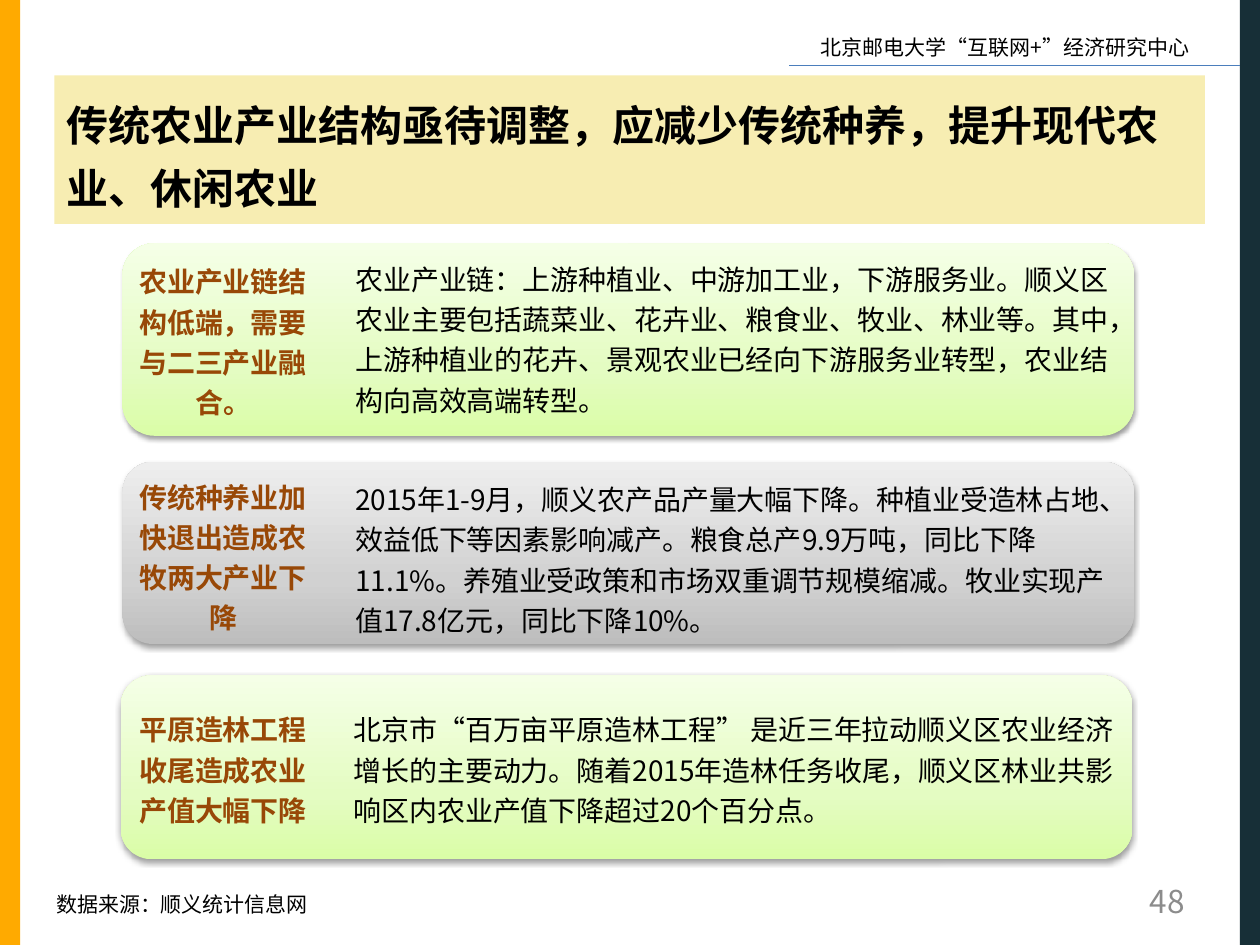
from dataclasses import dataclass
from lxml.etree import SubElement as Sub
from pptx import Presentation
from pptx.dml.color import RGBColor as RGB
from pptx.enum.shapes import MSO_CONNECTOR as Link, MSO_SHAPE as Kind
from pptx.enum.text import MSO_ANCHOR as Anchor, MSO_AUTO_SIZE as Fit, PP_ALIGN as Align
from pptx.oxml.ns import qn
from pptx.util import Pt

HUES = {
    "gold": "FFAA00", "teal": "172F37", "rule": "4B7EBC", "sand": "E9CD23",
    "ink": "000000", "rust": "984807", "mute": "8C8C8C",
}
FADES = {
    "green": ("DAFDA7", "E4FCC2", "F5FFE7"),
    "grey": ("BDBDBD", "D1D1D1", "EEEEEE"),
}
SANS = "Noto Sans CJK SC"
HEAD = "TeX Gyre Adventor"


@dataclass
class Card:
    left: float
    top: float
    high: float
    fade: str
    head: str
    head_top: float
    body: str
    body_top: float
    text_high: float


CARDS = [
    Card(70, 139, 110, "green", "农业产业链结构低端，需要与二三产业融合。", 144,
         "农业产业链：上游种植业、中游加工业，下游服务业。顺义区农业主要包括蔬菜业、花卉业、粮食业、牧业、林业等。"
         "其中，上游种植业的花卉、景观农业已经向下游服务业转型，农业结构向高效高端转型。", 142.5, 100),
    Card(70, 264, 104, "grey", "传统种养业加快退出造成农牧两大产业下降", 267,
         "2015年1-9月，顺义农产品产量大幅下降。种植业受造林占地、效益低下等因素影响减产。粮食总产9.9万吨，"
         "同比下降11.1%。养殖业受政策和市场双重调节规模缩减。牧业实现产值17.8亿元，同比下降10%。", 268.5, 100),
    Card(69, 386, 105, "green", "平原造林工程收尾造成农业产值大幅下降", 400,
         "北京市“百万亩平原造林工程” 是近三年拉动顺义区农业经济增长的主要动力。随着2015年造林任务收尾，"
         "顺义区林业共影响区内农业产值下降超过20个百分点。", 400, 77),
]


def write(frame, text: str, size: float = 16, font: str = SANS, hue: str = "ink",
          bold: bool = False, align=Align.LEFT, space: float = 1.0, anchor=Anchor.TOP) -> None:
    frame.word_wrap = True
    frame.auto_size = Fit.NONE
    frame.vertical_anchor = anchor
    para = frame.paragraphs[0]
    para.alignment = align
    para.line_spacing = space
    para.space_before = Pt(0)
    run = para.add_run()
    run.text = text
    face = run.font
    face.size = Pt(size)
    face.bold = bold
    face.color.rgb = RGB.from_string(HUES[hue])
    face.name = font
    Sub(face._element, qn("a:ea"), typeface=SANS)


def label(slide, box: tuple, text: str, **style) -> None:
    area = slide.shapes.add_textbox(*map(Pt, box))
    write(area.text_frame, text, **style)


def band(slide, left: float, hue: str) -> None:
    bar = slide.shapes.add_shape(Kind.RECTANGLE, Pt(left), Pt(0), Pt(11.5), Pt(540))
    bar.shadow.inherit = False
    bar.fill.solid()
    bar.fill.fore_color.rgb = RGB.from_string(HUES[hue])
    bar.line.fill.background()


def shade(shape, fade: str) -> None:
    shape.fill.gradient()
    shape.fill.gradient_angle = 90
    stops = shape._element.spPr.find(qn("a:gradFill")).find(qn("a:gsLst"))
    for old in list(stops):
        stops.remove(old)
    for pos, code in zip((0, 35000, 100000), FADES[fade]):
        Sub(Sub(stops, qn("a:gs"), pos=str(pos)), qn("a:srgbClr"), val=code)


def cast(shape) -> None:
    shape.shadow.inherit = False
    list_ = shape._element.spPr.find(qn("a:effectLst"))
    drop = Sub(list_, qn("a:outerShdw"), blurRad=str(Pt(3.1)), dist=str(Pt(1.6)),
               dir="5400000", rotWithShape="0")
    tint = Sub(drop, qn("a:srgbClr"), val=HUES["ink"])
    Sub(tint, qn("a:alpha"), val="38000")


def draw(slide, card: Card) -> None:
    plate = slide.shapes.add_shape(Kind.ROUNDED_RECTANGLE, Pt(card.left), Pt(card.top),
                                   Pt(578), Pt(card.high))
    shade(plate, card.fade)
    plate.line.fill.background()
    cast(plate)
    label(slide, (card.left + 126, card.body_top, 452, card.text_high), card.body, space=1.2)
    label(slide, (65.5, card.head_top, 124, card.text_high), card.head,
          font=HEAD, hue="rust", bold=True, align=Align.CENTER, space=1.2)


def name(slide, text: str) -> None:
    title = slide.shapes.title
    title.left, title.top, title.width, title.height = map(Pt, (31, 43, 657.5, 85))
    title.fill.solid()
    title.fill.fore_color.rgb = RGB.from_string(HUES["sand"])
    tint = title._element.spPr.find(qn("a:solidFill"))[0]
    Sub(tint, qn("a:alpha"), val="35000")
    write(title.text_frame, text, size=24, bold=True, space=1.25, anchor=Anchor.MIDDLE)


def rule(slide) -> None:
    line = slide.shapes.add_connector(Link.STRAIGHT, Pt(451), Pt(37.5), Pt(708.5), Pt(37.5))
    line.line.color.rgb = RGB.from_string(HUES["rule"])
    line.line.width = Pt(0.75)
    Sub(line._element.spPr, qn("a:effectLst"))


def main() -> None:
    deck = Presentation()
    deck.slide_width, deck.slide_height = Pt(720), Pt(540)
    slide = deck.slides.add_slide(deck.slide_layouts[5])
    band(slide, 0, "gold")
    band(slide, 708.5, "teal")
    label(slide, (462, 16, 232.5, 22), "北京邮电大学“互联网+”经济研究中心", size=12)
    rule(slide)
    name(slide, "传统农业产业结构亟待调整，应减少传统种养，提升现代农业、休闲农业")
    for card in CARDS:
        draw(slide, card)
    label(slide, (25, 506, 266.5, 22), "数据来源：顺义统计信息网", size=12)
    label(slide, (516, 500.5, 168, 29), "48", size=18, hue="mute",
          align=Align.RIGHT, anchor=Anchor.MIDDLE)
    deck.save("out.pptx")


if __name__ == "__main__":
    main()
